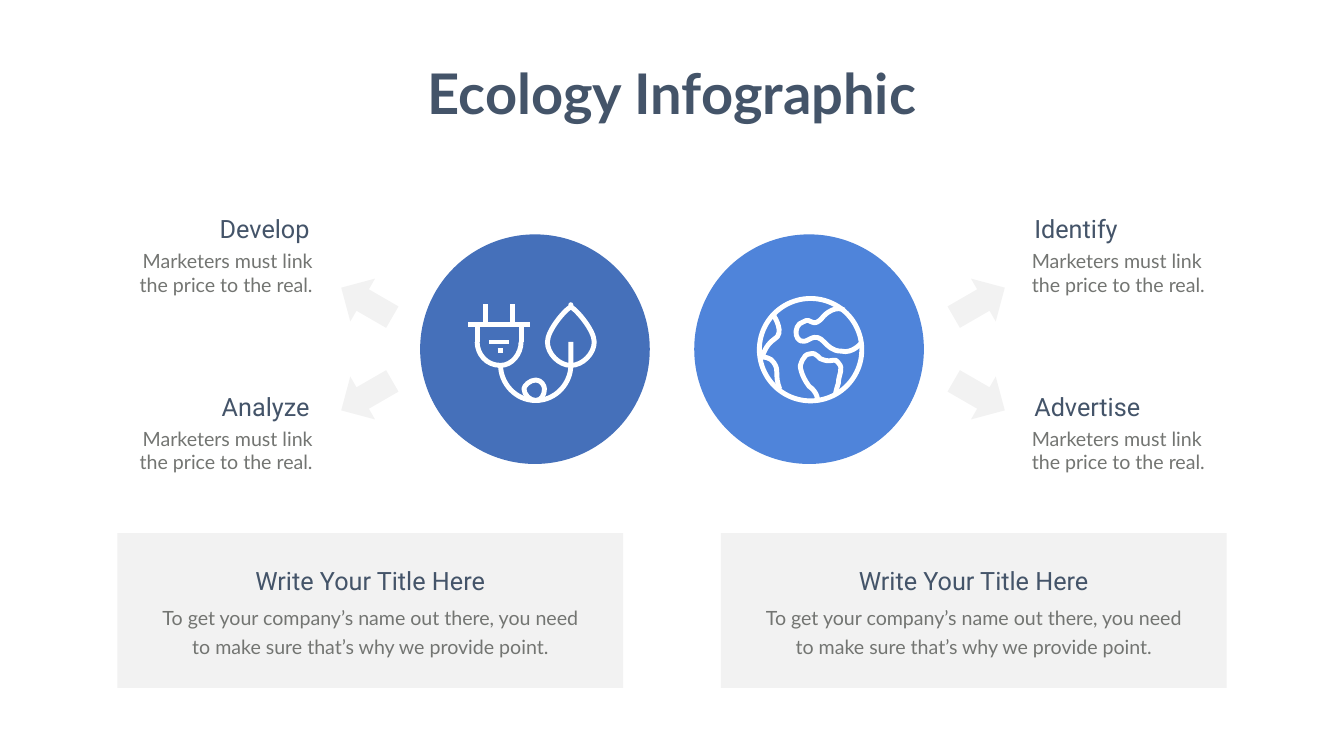
from lxml import etree
from pptx import Presentation
from pptx.dml.color import RGBColor
from pptx.enum import shapes, text
from pptx.oxml.ns import qn
from pptx.util import Pt

THEME = {
    "ink": "445469", "body": "737572", "gray": "808080", "white": "FFFFFF",
    "blues": ("4570BA", "4F84DA"),
    "title": ("Lato", 80), "head": ("Roboto", 36), "text": ("Lato", 28),
    "stroke": 7, "alpha": 10,
}

TITLE = "Ecology Infographic"
NOTE = "Marketers must link the price to the real."
LEFT, RIGHT = ("Develop", "Analyze"), ("Identify", "Advertise")
PANEL = ("Write Your Title Here",
         "To get your company’s name out there, you need "
         "to make sure that’s why we provide point.")

# Icon art on a small grid: each curve is a start point, then Bezier triples.
UNIT = 4.18
PLUG_AT, GLOBE_AT = (681.5, 434.2), (1084.5, 426.4)
PLUG_CURVES = {
    "leaf": [(32, 1), (32, 0), (32, 0), (32, 1), (30, 2), (24, 9), (24, 13),
             (24, 17), (28, 21), (32, 21), (36, 21), (40, 17), (40, 13),
             (40, 9), (34, 2), (32, 1)],
    "cup": [(15, 13), (15, 17), (12, 21), (8, 21), (3, 21), (0, 17), (0, 13)],
    "cord": [(8, 21), (8, 27), (13, 33), (20, 33), (27, 33), (32, 27),
             (32, 21), (32, 13), (32, 13), (32, 13)],
    "knot": [(23, 29), (23, 31), (22, 33), (20, 33), (18, 33), (16, 31),
             (16, 29), (16, 28), (18, 26), (20, 26), (22, 26), (23, 28),
             (23, 29)],
}
PLUG_LINES = [(15, 7, 15, 13), (0, 13, 0, 7), (-3, 7, 18, 7), (3, 7, 3, 0),
              (12, 7, 12, 0), (4, 13, 11, 13), (7, 16, 9, 16)]
GLOBE_CURVES = {
    "north": [(29, 4), (29, 4), (26, 2), (22, 6), (18, 11), (18, 6), (15, 8),
              (11, 9), (12, 17), (17, 14), (22, 11), (22, 18), (28, 18),
              (32, 19), (35, 15), (35, 15)],
    "south": [(26, 33), (26, 33), (26, 32), (27, 29), (27, 26), (29, 24),
              (27, 22), (26, 20), (25, 22), (22, 21), (20, 21), (20, 18),
              (17, 19), (15, 19), (14, 23), (14, 23), (14, 23), (14, 26),
              (17, 30), (20, 32), (20, 35), (20, 35)],
    "west": [(5, 6), (5, 6), (9, 12), (5, 14), (2, 16), (1, 20), (1, 20)],
    "coast": [(1, 20), (1, 20), (4, 20), (5, 22), (7, 25), (5, 26), (7, 31)],
}

deck = Presentation()
deck.slide_width, deck.slide_height = Pt(1919.52), Pt(1080)
slide = deck.slides.add_slide(deck.slide_layouts[6])
tree = slide.shapes


def color(name):
    return RGBColor.from_string(THEME.get(name, name))


def label(words, box, role, tint, align, wrap=True, bold=False, gap=None):
    frame = tree.add_textbox(*map(Pt, box)).text_frame
    frame.word_wrap = wrap
    para = frame.paragraphs[0]
    para.text, para.alignment = words, align
    if gap:
        para.line_spacing = Pt(gap)
    font = para.font
    font.name, size = THEME[role]
    font.size, font.bold = Pt(size), bold
    font.color.rgb = color(tint)


def shape(kind, box, fill, alpha=None):
    item = tree.add_shape(kind, *map(Pt, box))
    item.shadow.inherit = False
    item.line.fill.background()
    item.fill.solid()
    item.fill.fore_color.rgb = color(fill)
    if alpha:
        tint = item.fill._xPr.find(".//" + qn("a:srgbClr"))
        etree.SubElement(tint, qn("a:alpha"), val=str(alpha * 1000))
    return item


def stroke(item):
    item.line.color.rgb = color("white")
    item.line.width = Pt(THEME["stroke"])


def outline(item):
    item.shadow.inherit = False
    item.fill.background()
    stroke(item)


def place(spot, x, y):
    """Turn an icon grid point into slide lengths."""
    return Pt(spot[0] + x * UNIT), Pt(spot[1] + y * UNIT)


def bend(item):
    """Turn each three straight segments into one cubic Bezier."""
    legs = list(item._element.iter(qn("a:lnTo")))
    for i in range(0, len(legs), 3):
        trio = legs[i:i + 3]
        curve = etree.Element(qn("a:cubicBezTo"))
        trio[0].addprevious(curve)
        for leg in trio:
            curve.append(leg[0])
            leg.getparent().remove(leg)


def curves(spot, art):
    for dots in art.values():
        start, *rest = [place(spot, *dot) for dot in dots]
        pen = tree.build_freeform(*start)
        pen.add_line_segments(rest, close=False)
        item = pen.convert_to_shape()
        bend(item)
        outline(item)


def lines(spot, ends):
    for x1, y1, x2, y2 in ends:
        item = tree.add_connector(shapes.MSO_CONNECTOR.STRAIGHT,
                                  *place(spot, x1, y1), *place(spot, x2, y2))
        stroke(item)
        etree.SubElement(item._element.spPr, qn("a:effectLst"))


KIND, ALIGN = shapes.MSO_SHAPE, text.PP_ALIGN

for x, blue in zip((600, 991.5), THEME["blues"]):
    shape(KIND.OVAL, (x, 334.8, 328, 328), blue)

# Each side: heads, head x, note x, arrow x, alignment, arrow angles
SIDES = [
    (RIGHT, 1470.2, 1466.6, 1356.5, ALIGN.LEFT, (330, 30)),
    (LEFT, 192.2, 167.8, 481.7, ALIGN.RIGHT, (210, 150)),
]
for heads, hx, nx, ax, align, turns in SIDES:
    for row, head in enumerate(heads):
        drop = row * 253.8
        label(NOTE, (nx, 352 + drop, 285.8, 75), "text", "body", align)
        label(head, (hx, 301 + drop, 257, 51), "head", "ink", align)

for x in (167.8, 1029.6):
    shape(KIND.RECTANGLE, (x, 761.8, 722.2, 221), "gray", THEME["alpha"])
    label(PANEL[1], (x + 49, 855.4, 624.2, 85.7), "text", "body", ALIGN.CENTER,
          gap=40.8)
    label(PANEL[0], (x + 155, 803.5, 412, 51), "head", "ink", ALIGN.CENTER)

for heads, hx, nx, ax, align, turns in SIDES:
    for row, turn in enumerate(turns):
        arrow = shape(KIND.RIGHT_ARROW, (ax, 396.7 + row * 133.2, 84.2, 70.6),
                      "gray", THEME["alpha"])
        arrow.rotation = turn

curves(PLUG_AT, PLUG_CURVES)
lines(PLUG_AT, PLUG_LINES)
globe = tree.add_shape(KIND.OVAL, *map(Pt, (*GLOBE_AT, 35 * UNIT, 35 * UNIT)))
outline(globe)
curves(GLOBE_AT, GLOBE_CURVES)

label(TITLE, (595.8, 80.6, 728, 104), "title", "ink", ALIGN.CENTER,
      wrap=False, bold=True)

deck.save("out.pptx")
